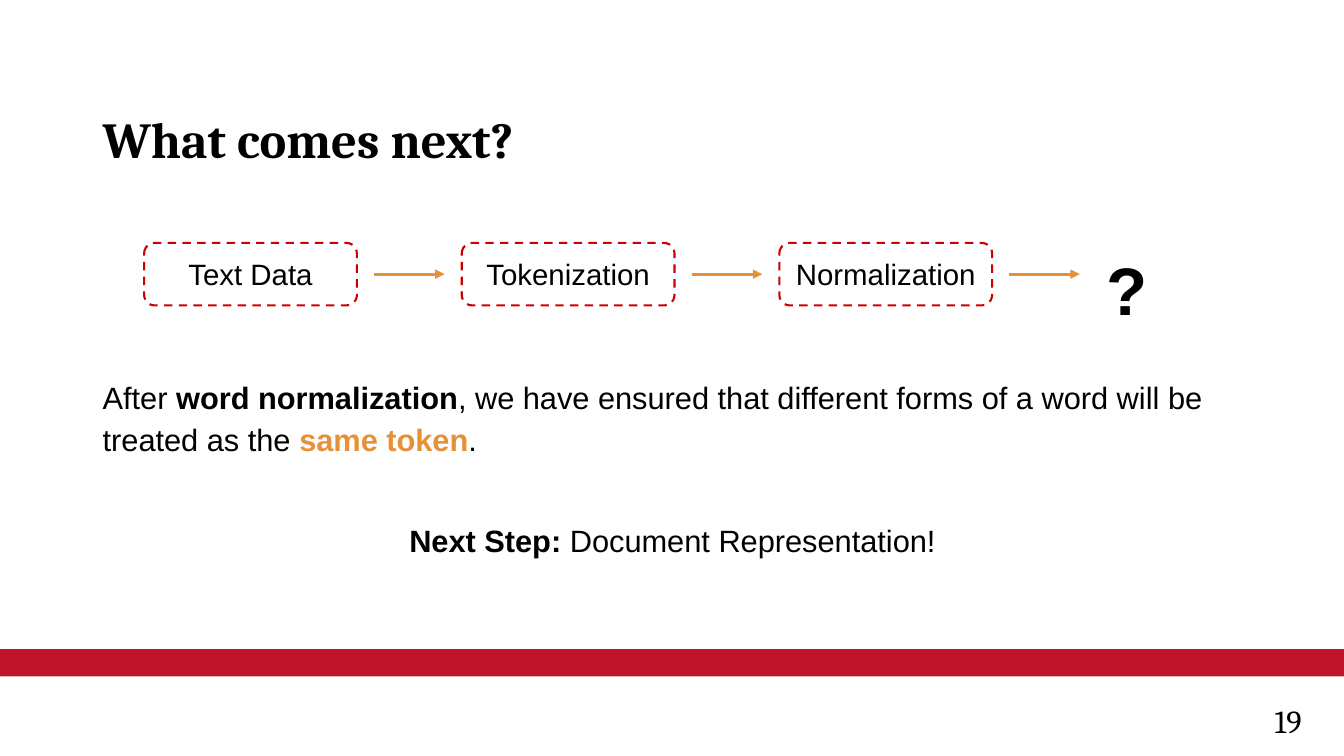
"""Build the "What comes next?" slide on the text processing pipeline."""
from lxml.etree import SubElement
from pptx import Presentation
from pptx.dml.color import RGBColor
from pptx.enum.dml import MSO_LINE
from pptx.enum.shapes import MSO_CONNECTOR, MSO_SHAPE
from pptx.enum.text import MSO_ANCHOR, PP_ALIGN
from pptx.oxml.ns import qn
from pptx.util import Inches, Pt

BLACK = RGBColor(0x00, 0x00, 0x00)
ORANGE = RGBColor(0xE6, 0x91, 0x38)
RED = RGBColor(0xCC, 0x00, 0x00)
CRIMSON = RGBColor(0xC0, 0x14, 0x2A)


def write(box, spans, font, size, inset=0.1, anchor=MSO_ANCHOR.TOP, **layout):
    """Fill a box with one paragraph of (text, bold, colour) spans."""
    frame = box.text_frame
    frame_format = {
        "word_wrap": True,
        "vertical_anchor": anchor,
        "margin_left": Inches(0.1),
        "margin_right": Inches(0.1),
        "margin_top": Inches(inset),
        "margin_bottom": Inches(inset),
    }
    for name, value in frame_format.items():
        setattr(frame, name, value)
    para = frame.paragraphs[0]
    for name, value in layout.items():
        setattr(para, name, value)
    for text, bold, colour in spans:
        span = para.add_run()
        span.text = text
        for name, value in {"name": font, "size": Pt(size), "bold": bold}.items():
            setattr(span.font, name, value)
        span.font.color.rgb = colour


deck = Presentation()
deck.slide_width = Inches(13.33)
deck.slide_height = Inches(7.5)
page = deck.slides.add_slide(deck.slide_layouts[6])
shapes = page.shapes

band = shapes.add_shape(
    MSO_SHAPE.RECTANGLE, 0, Inches(6.44), deck.slide_width, Inches(0.27)
)
band.shadow.inherit = False
band.fill.solid()
band.fill.fore_color.rgb = CRIMSON
band.line.fill.background()

title = shapes.add_textbox(Inches(0.92), Inches(0.97), Inches(11.5), Inches(0.88))
write(title, [("What comes next?", True, BLACK)], "Cambria", 36,
      inset=0.05, anchor=MSO_ANCHOR.MIDDLE, line_spacing=0.9)

page_number = shapes.add_textbox(Inches(12.2), Inches(6.95), Inches(0.81), Inches(0.4))
write(page_number, [("19", False, BLACK)], "Cambria", 23,
      inset=0.05, alignment=PP_ALIGN.RIGHT, line_spacing=0.9)

STEP_LEFT, STEP_PITCH, STEP_WIDTH = 1.43, 3.15, 2.11
ARROW_OFFSET, ARROW_LENGTH, ARROW_Y = 2.28, 0.7, Inches(2.72)

for index, label in enumerate(["Text Data", "Tokenization", "Normalization"]):
    left = STEP_LEFT + index * STEP_PITCH
    step = shapes.add_shape(
        MSO_SHAPE.ROUNDED_RECTANGLE,
        Inches(left), Inches(2.41), Inches(STEP_WIDTH), Inches(0.62),
    )
    step.shadow.inherit = False
    step.fill.background()
    step.line.color.rgb = RED
    step.line.width = Pt(1.5)
    step.line.dash_style = MSO_LINE.DASH
    write(step, [(label, False, BLACK)], "Arial", 21,
          anchor=MSO_ANCHOR.MIDDLE, alignment=PP_ALIGN.CENTER)

    start = left + ARROW_OFFSET
    arrow = shapes.add_connector(
        MSO_CONNECTOR.STRAIGHT,
        Inches(start), ARROW_Y, Inches(start + ARROW_LENGTH), ARROW_Y,
    )
    arrow.line.color.rgb = ORANGE
    arrow.line.width = Pt(2.25)
    SubElement(arrow.line._get_or_add_ln(), qn("a:tailEnd"), type="triangle")
    SubElement(arrow._element.spPr, qn("a:effectLst"))

question = shapes.add_textbox(Inches(10.88), Inches(2.24), Inches(0.7), Inches(0.97))
write(question, [("?", True, BLACK)], "Arial", 48,
      line_spacing=1.15, space_after=Pt(10))

summary = shapes.add_textbox(Inches(0.92), Inches(3.6), Inches(11.34), Inches(1.03))
summary_spans = [
    ("After ", False, BLACK),
    ("word normalization", True, BLACK),
    (", we have ensured that different forms of a word will be treated as the ",
     False, BLACK),
    ("same token", True, ORANGE),
    (".", False, BLACK),
]
write(summary, summary_spans, "Arial", 22, line_spacing=1.15)

next_step = shapes.add_textbox(Inches(1), Inches(5.02), Inches(11.34), Inches(1.03))
next_spans = [("Next Step: ", True, BLACK), ("Document Representation!", False, BLACK)]
write(next_step, next_spans, "Arial", 22, alignment=PP_ALIGN.CENTER,
      line_spacing=1.15, space_after=Pt(10))

deck.save("out.pptx")
